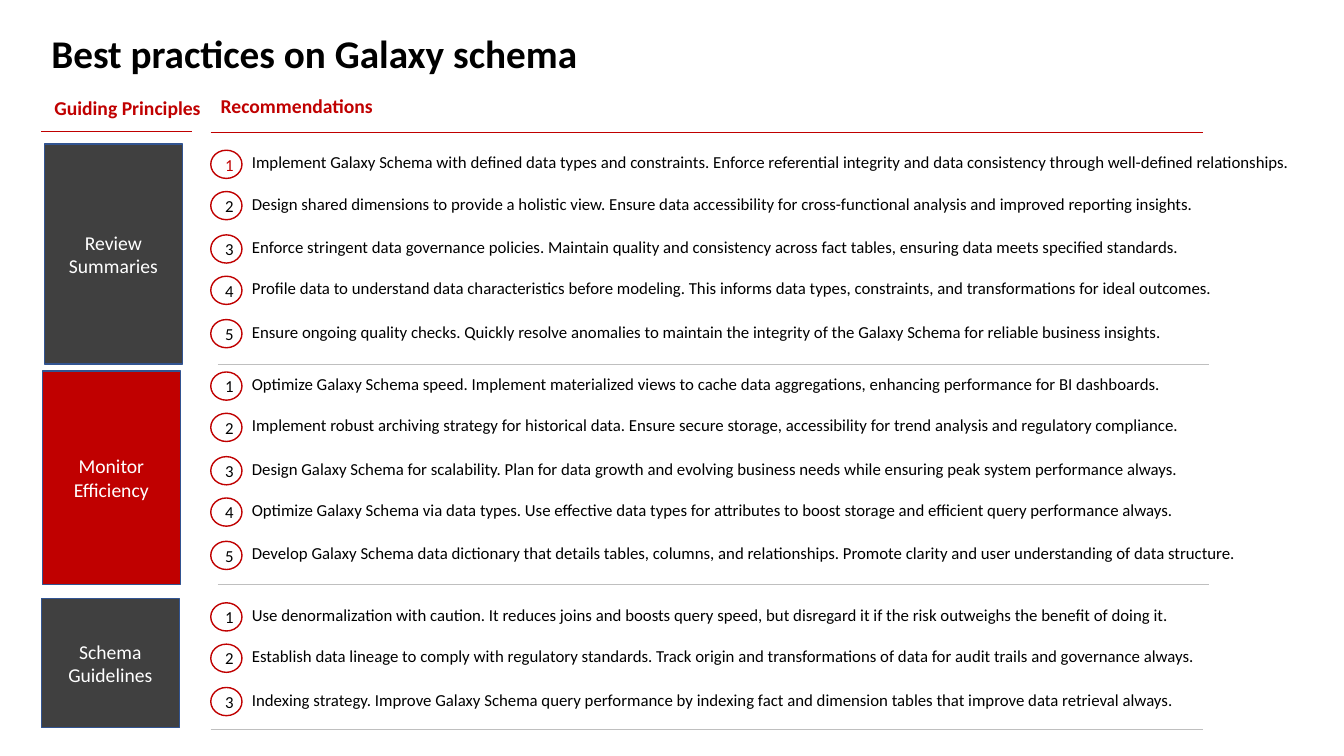
from dataclasses import dataclass

from lxml import etree
from pptx import Presentation
from pptx.dml.color import RGBColor
from pptx.enum.shapes import MSO_CONNECTOR, MSO_SHAPE
from pptx.enum.text import MSO_ANCHOR, MSO_AUTO_SIZE, PP_ALIGN
from pptx.oxml.ns import qn
from pptx.shapes.autoshape import Shape
from pptx.slide import Slide
from pptx.util import Inches, Length, Pt

RECT, OVAL = MSO_SHAPE.RECTANGLE, MSO_SHAPE.OVAL
STRAIGHT = MSO_CONNECTOR.STRAIGHT
TOP, MIDDLE = MSO_ANCHOR.TOP, MSO_ANCHOR.MIDDLE
LEFT, CENTER = PP_ALIGN.LEFT, PP_ALIGN.CENTER
GROW = MSO_AUTO_SIZE.SHAPE_TO_FIT_TEXT

BLACK = RGBColor(0x00, 0x00, 0x00)
WHITE = RGBColor(0xFF, 0xFF, 0xFF)
RED = RGBColor(0xC0, 0x00, 0x00)
CHARCOAL = RGBColor(0x40, 0x40, 0x40)
NAVY = RGBColor(0x32, 0x54, 0x91)
SILVER = RGBColor(0xBF, 0xBF, 0xBF)

FONT = "Calibri"
COLUMNS, ROWS = 133.3, 75
CELL = Inches(0.1)
BADGE_LEFT, BADGE_WIDTH, BADGE_HEIGHT = 20.9, 3.1, 2.8
ITEM_LEFT, ITEM_WIDTH, ITEM_HEIGHT = 24, 105, 3
ITEM_RISE = 0.3
ITEM_STEPS = (0, 4.1, 8.4, 12.5, 16.8)


@dataclass(frozen=True)
class Area:
    left: float
    top: float
    width: float
    height: float

    def emu(self) -> tuple[Length, ...]:
        return tuple(cells(n) for n in (self.left, self.top, self.width, self.height))


@dataclass(frozen=True)
class Rule:
    left: float
    right: float
    row: float
    color: RGBColor


@dataclass(frozen=True)
class Heading:
    text: str
    area: Area
    rule: Rule


@dataclass(frozen=True)
class Section:
    label: str
    fill: RGBColor
    area: Area
    first_row: float
    rule: Rule
    items: tuple[str, ...]
    first_number: RGBColor = BLACK


HEADINGS = (
    Heading("Guiding Principles", Area(4.4, 9, 16.6, 3.4), Rule(4.1, 19, 13, RED)),
    Heading("Recommendations", Area(20.9, 8.8, 99.6, 3.4), Rule(20.9, 119.3, 13.1, RED)),
)

SECTIONS = (
    Section("Review Summaries", CHARCOAL, Area(4.4, 14.3, 13.7, 21.8), 14.9,
            Rule(21.6, 119.9, 36.1, SILVER), (
        "Implement Galaxy Schema with defined data types and constraints. Enforce referential integrity and data consistency through well-defined relationships.",
        "Design shared dimensions to provide a holistic view. Ensure data accessibility for cross-functional analysis and improved reporting insights.",
        "Enforce stringent data governance policies. Maintain quality and consistency across fact tables, ensuring data meets specified standards.",
        "Profile data to understand data characteristics before modeling. This informs data types, constraints, and transformations for ideal outcomes.",
        "Ensure ongoing quality checks. Quickly resolve anomalies to maintain the integrity of the Galaxy Schema for reliable business insights.",
    ), RED),
    Section("Monitor Efficiency", RED, Area(4.2, 36.8, 13.7, 21.2), 36.9,
            Rule(21.6, 119.9, 58, SILVER), (
        "Optimize Galaxy Schema speed. Implement materialized views to cache data aggregations, enhancing performance for BI dashboards.",
        "Implement robust archiving strategy for historical data. Ensure secure storage, accessibility for trend analysis and regulatory compliance.",
        "Design Galaxy Schema for scalability. Plan for data growth and evolving business needs while ensuring peak system performance always.",
        "Optimize Galaxy Schema via data types. Use effective data types for attributes to boost storage and efficient query performance always.",
        "Develop Galaxy Schema data dictionary that details tables, columns, and relationships. Promote clarity and user understanding of data structure.",
    )),
    Section("Schema Guidelines", CHARCOAL, Area(4.1, 59.4, 13.7, 12.8), 59.8,
            Rule(20.9, 119.3, 72.4, SILVER), (
        "Use denormalization with caution. It reduces joins and boosts query speed, but disregard it if the risk outweighs the benefit of doing it.",
        "Establish data lineage to comply with regulatory standards. Track origin and transformations of data for audit trails and governance always.",
        "Indexing strategy. Improve Galaxy Schema query performance by indexing fact and dimension tables that improve data retrieval always.",
    )),
)


def cells(count: float) -> Length:
    return Length(round(count * CELL))


def write(sp: Shape, text: str, size: int, color: RGBColor, bold: bool = False,
          align: PP_ALIGN = LEFT, anchor: MSO_ANCHOR = TOP) -> None:
    tf = sp.text_frame
    tf.word_wrap = True
    tf.vertical_anchor = anchor
    p = tf.paragraphs[0]
    p.alignment = align
    r = p.add_run()
    r.text = text
    r.font.name = FONT
    r.font.size = Pt(size)
    r.font.bold = bold
    r.font.color.rgb = color


def add_title(s: Slide, text: str, area: Area) -> None:
    sp = s.shapes.title
    sp.left, sp.top, sp.width, sp.height = area.emu()
    write(sp, text, 28, BLACK, bold=True)
    sp.text_frame.auto_size = GROW


def add_text(s: Slide, text: str, area: Area, size: int, color: RGBColor,
             bold: bool = False) -> None:
    sp = s.shapes.add_textbox(*area.emu())
    write(sp, text, size, color, bold)
    sp.text_frame.auto_size = GROW


def add_box(s: Slide, kind: MSO_SHAPE, text: str, area: Area, fill: RGBColor,
            line: RGBColor, size: int, color: RGBColor) -> None:
    sp = s.shapes.add_shape(kind, *area.emu())
    sp.shadow.inherit = False
    sp.fill.solid()
    sp.fill.fore_color.rgb = fill
    sp.line.color.rgb = line
    sp.line.width = Pt(1)
    write(sp, text, size, color, align=CENTER, anchor=MIDDLE)


def add_rule(s: Slide, rule: Rule) -> None:
    y = cells(rule.row)
    line = s.shapes.add_connector(STRAIGHT, cells(rule.left), y, cells(rule.right), y)
    line.line.color.rgb = rule.color
    line.line.width = Pt(0.5)
    etree.SubElement(line._element.spPr, qn("a:effectLst"))


def add_section(s: Slide, section: Section) -> None:
    add_box(s, RECT, section.label, section.area, section.fill, NAVY, 14, WHITE)
    for number, (step, item) in enumerate(zip(ITEM_STEPS, section.items), start=1):
        top = section.first_row + step
        color = section.first_number if number == 1 else BLACK
        badge = Area(BADGE_LEFT, top, BADGE_WIDTH, BADGE_HEIGHT)
        add_box(s, OVAL, str(number), badge, WHITE, RED, 12, color)
        add_text(s, item, Area(ITEM_LEFT, top - ITEM_RISE, ITEM_WIDTH, ITEM_HEIGHT), 12, BLACK)
    add_rule(s, section.rule)


def main() -> None:
    prs = Presentation()
    prs.slide_width, prs.slide_height = cells(COLUMNS), cells(ROWS)
    s = prs.slides.add_slide(prs.slide_layouts.get_by_name("Title Only"))
    add_title(s, "Best practices on Galaxy schema", Area(4.1, 2.4, 123.5, 5.7))
    for heading in HEADINGS:
        add_text(s, heading.text, heading.area, 14, RED, bold=True)
        add_rule(s, heading.rule)
    for section in SECTIONS:
        add_section(s, section)
    prs.save("out.pptx")


if __name__ == "__main__":
    main()
